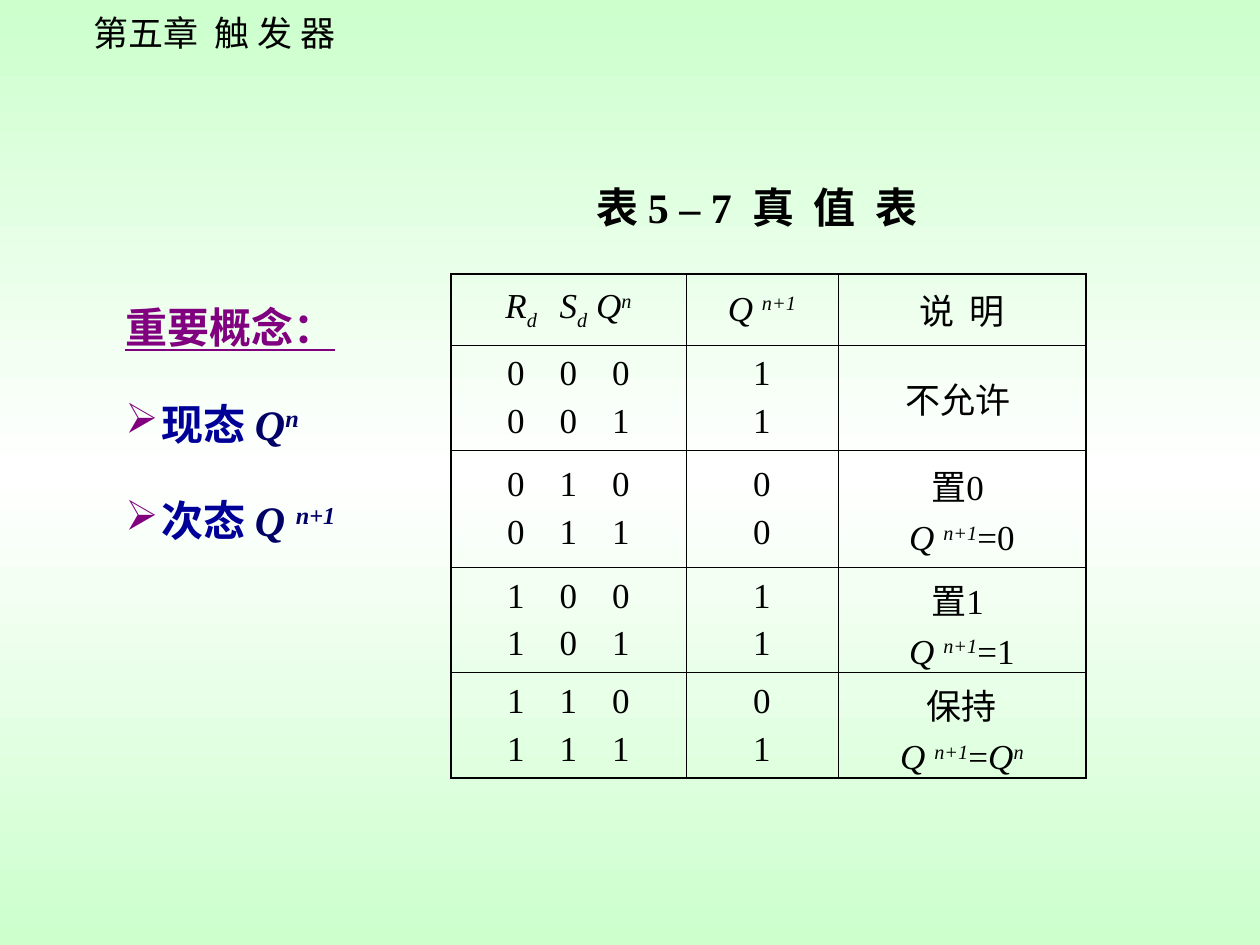
from copy import deepcopy

from lxml.etree import SubElement
from pptx import Presentation
from pptx.dml.color import RGBColor
from pptx.enum.text import MSO_ANCHOR, MSO_AUTO_SIZE, PP_ALIGN
from pptx.oxml.ns import qn
from pptx.util import Pt

PX = 914400 // 126
LATIN, CJK = "Times New Roman", "Noto Sans CJK SC"
BLACK = RGBColor(0x00, 0x00, 0x00)
WHITE = RGBColor(0xFF, 0xFF, 0xFF)
MINT = RGBColor(0xCC, 0xFF, 0xCC)
PURPLE = RGBColor(0x80, 0x00, 0x80)
BLUE = RGBColor(0x00, 0x00, 0x99)
NAVY = RGBColor(0x00, 0x00, 0x66)

BASELINES = {"^": "30000", "_": "-25000"}
THIN, THICK = Pt(0.45), Pt(1.08)

# Rich text: (text, style) with i = italic, ^ = superscript, _ = subscript
NOW = [("Q", "i"), ("n", "i^")]
NEXT = [("Q ", "i"), ("n+1", "i^")]
INPUTS = [("R", "i"), ("d ", "i_"), ("  S", "i"), ("d", "i_"), (" Q", "i"), ("n", "i^")]

# Each cell is a list of paragraphs
TRUTH_ROWS = [
    [[INPUTS], [NEXT], ["说  明"]],
    [["0    0    0", "0    0    1"], ["1", "1"], ["不允许 "]],
    [["0    1    0", "0    1    1"], ["0", "0"], ["置0 ", NEXT + [("=0", "")]]],
    [["1    0    0", "1    0    1"], ["1", "1"], ["置1 ", NEXT + [("=1", "")]]],
    [["1    1    0", "1    1    1"], ["0", "1"], ["保持", NEXT + [("=", "")] + NOW]],
]
COLUMN_WIDTHS = [235, 152, 248]
ROW_HEIGHTS = [71, 105, 117, 105, 105]


def px(*lengths):
    return [length * PX for length in lengths]


def format_span(span, size, color, style="", bold=False, latin=LATIN):
    font = span.font
    font.size, font.bold, font.italic = Pt(size), bold, "i" in style
    font.name, font.color.rgb = latin, color
    properties = span._r.get_or_add_rPr()
    for mark, offset in BASELINES.items():
        if mark in style:
            properties.set("baseline", offset)
    east_asian = deepcopy(properties.find(qn("a:latin")))
    east_asian.tag = qn("a:ea")
    east_asian.set("typeface", CJK)
    properties.find(qn("a:latin")).addnext(east_asian)


def write(para, content, size, color, bold=False):
    pieces = [(content, "")] if isinstance(content, str) else content
    for text, style in pieces:
        span = para.add_run()
        span.text = text
        format_span(span, size, color, style, bold)


def paragraphs(frame, count):
    return [frame.paragraphs[0]] + [frame.add_paragraph() for _ in range(count - 1)]


def add_box(page, left, top, width, height, wrap):
    box = page.shapes.add_textbox(*px(left, top, width, height))
    box.text_frame.word_wrap = wrap
    return box.text_frame


def set_background(page):
    fill = page.background.fill
    fill.gradient()
    fill.gradient_angle = 90
    stop_list = page._element.find(".//" + qn("a:gsLst"))
    stop_list.insert(1, deepcopy(stop_list[0]))
    for stop, position, color in zip(fill.gradient_stops, (0, 0.5, 1), (MINT, WHITE, MINT)):
        stop.position, stop.color.rgb = position, color


def set_chapter_heading(page):
    title = page.shapes.title
    title.left, title.top, title.width, title.height = px(81, 5, 275, 55)
    frame = title.text_frame
    frame.text = "第五章  触 发 器"
    frame.word_wrap, frame.auto_size = False, MSO_AUTO_SIZE.NONE
    frame.vertical_anchor = MSO_ANCHOR.TOP
    frame.paragraphs[0].alignment = PP_ALIGN.LEFT
    format_span(frame.paragraphs[0].runs[0], 20, BLACK, latin=CJK)


def set_borders(cell, widths):
    properties = cell._tc.get_or_add_tcPr()
    for index, (side, width) in enumerate(widths.items()):
        line = properties.makeelement(qn("a:ln" + side), {"w": str(width)})
        color = SubElement(SubElement(line, qn("a:solidFill")), qn("a:srgbClr"))
        color.set("val", str(BLACK))
        properties.insert(index, line)


def add_truth_table(page):
    size = px(451, 274, sum(COLUMN_WIDTHS), sum(ROW_HEIGHTS))
    last_row, last_column = len(ROW_HEIGHTS) - 1, len(COLUMN_WIDTHS) - 1
    table = page.shapes.add_table(last_row + 1, last_column + 1, *size).table
    table.first_row = table.horz_banding = False
    for column, width in zip(table.columns, COLUMN_WIDTHS):
        column.width = width * PX
    for r, (row, height) in enumerate(zip(table.rows, ROW_HEIGHTS)):
        row.height = height * PX
        for c, lines in enumerate(TRUTH_ROWS[r]):
            cell = table.cell(r, c)
            cell.fill.background()
            cell.vertical_anchor = MSO_ANCHOR.MIDDLE
            # The outer frame is thicker than the inner grid
            outer = {"L": c == 0, "R": c == last_column, "T": r == 0, "B": r == last_row}
            set_borders(cell, {side: THICK if edge else THIN for side, edge in outer.items()})
            for i, para in enumerate(paragraphs(cell.text_frame, len(lines))):
                para.alignment = PP_ALIGN.CENTER
                if i:
                    para.space_before = Pt(5)
                write(para, lines[i], 20, BLACK)


def add_bullet(para):
    properties = para._p.get_or_add_pPr()
    properties.set("marL", str(36 * PX))
    properties.set("indent", str(-36 * PX))
    color = SubElement(SubElement(properties, qn("a:buClr")), qn("a:srgbClr"))
    color.set("val", str(PURPLE))
    SubElement(properties, qn("a:buChar")).set("char", "➢")


def add_concepts(page):
    frame = add_box(page, 113, 275, 258, 277, wrap=True)
    heading, *items = paragraphs(frame, 3)
    heading.line_spacing = 1.4
    write(heading, "重要概念：", 24, PURPLE, bold=True)
    heading.runs[0].font.underline = True
    for para, name, symbol in zip(items, ("现态 ", "次态 "), (NOW, NEXT)):
        para.line_spacing, para.space_before = 1.4, Pt(15)
        add_bullet(para)
        write(para, name, 24, BLUE, bold=True)
        write(para, symbol, 24, NAVY, bold=True)


def main():
    deck = Presentation()
    deck.slide_width, deck.slide_height = px(1260, 945)
    page = deck.slides.add_slide(deck.slide_layouts[5])
    set_background(page)
    set_chapter_heading(page)

    # Table with its caption
    caption = add_box(page, 584, 175, 375, 63, wrap=False)
    write(caption.paragraphs[0], "表 5 – 7  真  值  表", 24, BLACK, bold=True)
    add_truth_table(page)

    add_concepts(page)
    deck.save("out.pptx")


if __name__ == "__main__":
    main()
